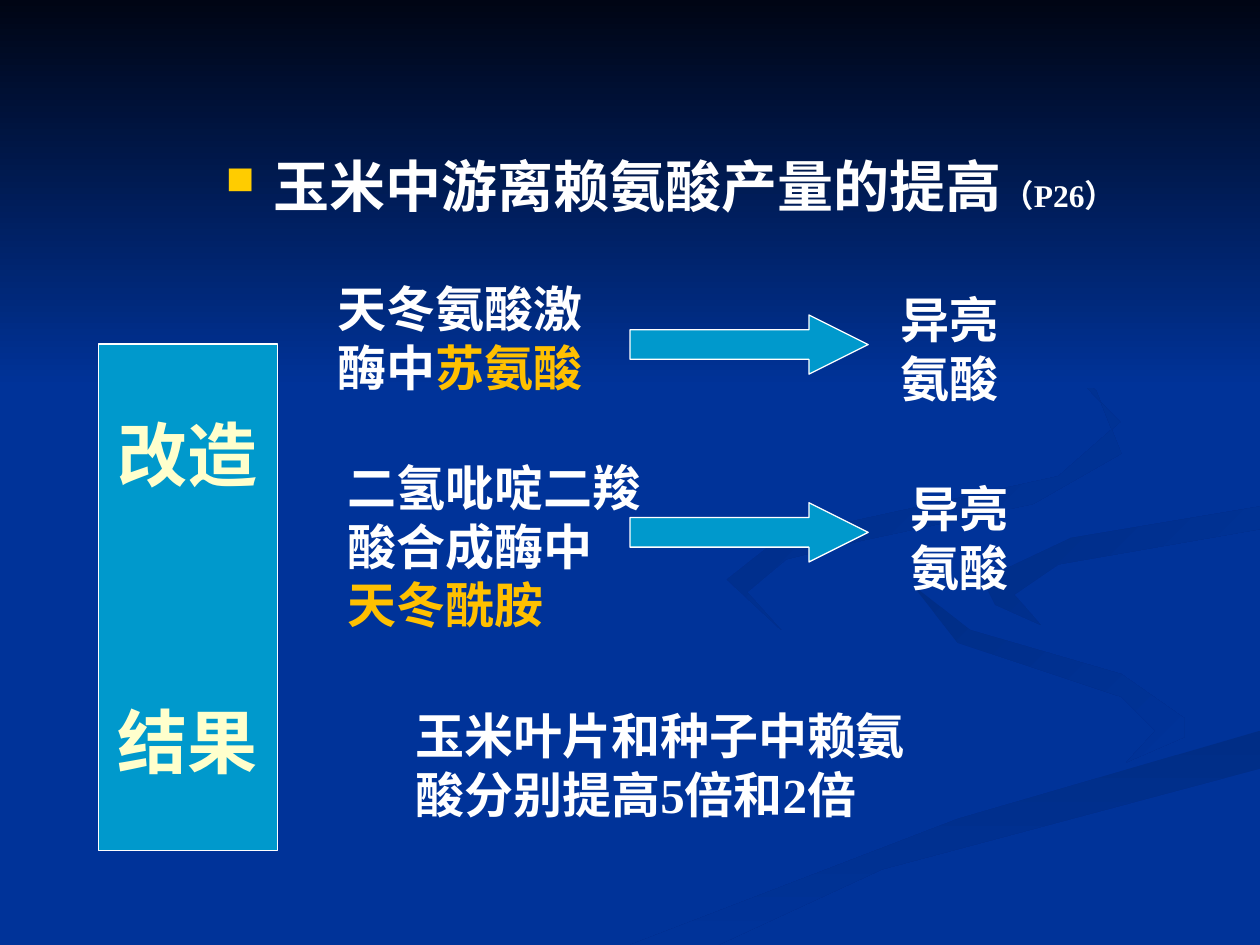
from dataclasses import dataclass

from lxml.etree import SubElement
from pptx import Presentation
from pptx.dml.color import RGBColor
from pptx.enum.shapes import MSO_SHAPE
from pptx.enum.text import MSO_ANCHOR, MSO_AUTO_SIZE, PP_ALIGN
from pptx.oxml.ns import qn
from pptx.util import Inches, Pt


@dataclass(frozen=True)
class Theme:
    font: str = "Times New Roman"
    background: str = "003399"
    shade: str = "002D86"
    night: str = "000514"
    panel: str = "0099CC"
    white: str = "FFFFFF"
    cream: str = "FFFFCC"
    accent: str = "FFC000"
    bullet: str = "FFCC00"
    title: int = 32
    note: int = 18
    body: int = 28
    label: int = 40
    outline: float = 0.75


THEME = Theme()

# Content: runs are (text, format); boxes are (column, row, columns, rows)
COLUMNS, ROWS = 100, 75
TITLE = [("玉米中游离赖氨酸产量的提高", {}), ("（P26）", {"size": THEME.note})]
TITLE_BOX = (16.9, 11.5, 74, 7.1)
STAGES = ["改造", "结果"]
STAGE_BOX = (7.8, 27.3, 14.2, 40.2)
STAGE_GAP = 116
ACCENT = {"color": THEME.accent}
TEXTS = [
    ((25.8, 21.6, 22.7, 10.4), [("天冬氨酸激酶中", {}), ("苏氨酸", ACCENT)]),
    ((70.5, 22.5, 12.6, 10.4), [("异亮氨酸", {})]),
    ((32, 55.5, 42.5, 10.4), [("玉米叶片和种子中赖氨酸分别提高5倍和2倍", {})]),
    ((26.6, 35.8, 25.8, 15), [("二氢吡啶二羧酸合成酶中 ", {}), ("天冬酰胺", ACCENT)]),
    ((71.3, 37.5, 13.4, 10.4), [("异亮氨酸", {})]),
]
ARROW_ROWS = [25, 39.9]

# Background: the night sky band and ribbons of (angle, corners in grid units)
SKY_BOX = (0, 0, COLUMNS, 30.8)
RIBBONS = [
    (45, [(94, 57), (89, 53.5), (77, 50), (72.4, 46.4), (76, 51),
          (89, 55.3), (91.7, 58), (89.4, 60.5), (94, 58.5)]),
    (90, [(50, 75), (57, 75), (70, 69), (100, 61), (100, 58), (76, 65)]),
    (45, [(78, 46), (79, 48), (82.6, 49.6), (80.5, 47.2), (84, 44.8),
          (100, 42), (100, 40.2), (85, 42.7)]),
    (45, [(68, 43), (82, 40), (89, 36), (87, 31), (76, 23), (86, 30.5),
          (88.9, 33.5), (84, 37.8), (62, 42.6), (57.7, 46), (62, 50),
          (59.3, 47), (62.4, 44.4)]),
]


def rgb(value):
    return RGBColor.from_string(value)


def place(box):
    column, row, columns, rows = box
    return (int(column * presentation.slide_width / COLUMNS),
            int(row * presentation.slide_height / ROWS),
            int(columns * presentation.slide_width / COLUMNS),
            int(rows * presentation.slide_height / ROWS))


def add_run(paragraph, text, size=THEME.body, color=THEME.white):
    run = paragraph.add_run()
    run.text = text
    run.font.name = THEME.font
    run.font.size = Pt(size)
    run.font.bold = True
    run.font.color.rgb = rgb(color)


def shade(shape, first, angle):
    shape.shadow.inherit = False
    shape.line.fill.background()
    shape.fill.gradient()
    shape.fill.gradient_angle = 360 - angle
    colors = (first, THEME.background)
    for position, (stop, color) in enumerate(zip(shape.fill.gradient_stops, colors)):
        stop.color.rgb = rgb(color)
        stop.position = position


def add_ribbon(angle, corners):
    points = [place((*corner, 0, 0))[:2] for corner in corners]
    builder = slide.shapes.build_freeform(*points[0])
    builder.add_line_segments(points[1:], close=True)
    shade(builder.convert_to_shape(), THEME.shade, angle)


def add_panel(kind, box):
    shape = slide.shapes.add_shape(kind, *place(box))
    shape.shadow.inherit = False
    shape.fill.solid()
    shape.fill.fore_color.rgb = rgb(THEME.panel)
    shape.line.color.rgb = rgb(THEME.white)
    shape.line.width = Pt(THEME.outline)
    return shape


def add_bullet(paragraph):
    properties = paragraph._p.get_or_add_pPr()
    properties.set("marL", str(Inches(0.38)))
    properties.set("indent", str(-Inches(0.38)))
    color = SubElement(properties, qn("a:buClr"))
    SubElement(color, qn("a:srgbClr"), val=THEME.bullet)
    SubElement(properties, qn("a:buSzPct"), val="70000")
    SubElement(properties, qn("a:buChar"), char="■")


presentation = Presentation()
presentation.slide_width, presentation.slide_height = Inches(10), Inches(7.5)
slide = presentation.slides.add_slide(presentation.slide_layouts[5])

# Background
slide.background.fill.solid()
slide.background.fill.fore_color.rgb = rgb(THEME.background)
for angle, corners in RIBBONS:
    add_ribbon(angle, corners)
sky = slide.shapes.add_shape(MSO_SHAPE.RECTANGLE, *place(SKY_BOX))
shade(sky, THEME.night, 90)

# Title, raised above the background
title = slide.shapes.title
slide.shapes.element.append(title.element)
title.left, title.top, title.width, title.height = place(TITLE_BOX)
title.text_frame.auto_size = MSO_AUTO_SIZE.NONE
title.text_frame.vertical_anchor = MSO_ANCHOR.TOP
heading = title.text_frame.paragraphs[0]
add_bullet(heading)
heading.alignment = PP_ALIGN.LEFT
for text, style in TITLE:
    add_run(heading, text, **{"size": THEME.title, **style})

# Stage panel
frame = add_panel(MSO_SHAPE.RECTANGLE, STAGE_BOX).text_frame
frame.word_wrap = False
frame.vertical_anchor = MSO_ANCHOR.MIDDLE
for index, stage in enumerate(STAGES):
    paragraph = frame.add_paragraph() if index else frame.paragraphs[0]
    paragraph.alignment = PP_ALIGN.CENTER
    if index:
        paragraph.space_before = Pt(STAGE_GAP)
    add_run(paragraph, stage, size=THEME.label, color=THEME.cream)

# Arrows
for row in ARROW_ROWS:
    arrow = add_panel(MSO_SHAPE.RIGHT_ARROW, (50, row, 18.9, 4.7))
    arrow.adjustments[0], arrow.adjustments[1] = 0.5, 1

# Enzymes, amino acids and result
for box, runs in TEXTS:
    frame = slide.shapes.add_textbox(*place(box)).text_frame
    frame.word_wrap = True
    for text, style in runs:
        add_run(frame.paragraphs[0], text, **style)

presentation.save("out.pptx")
